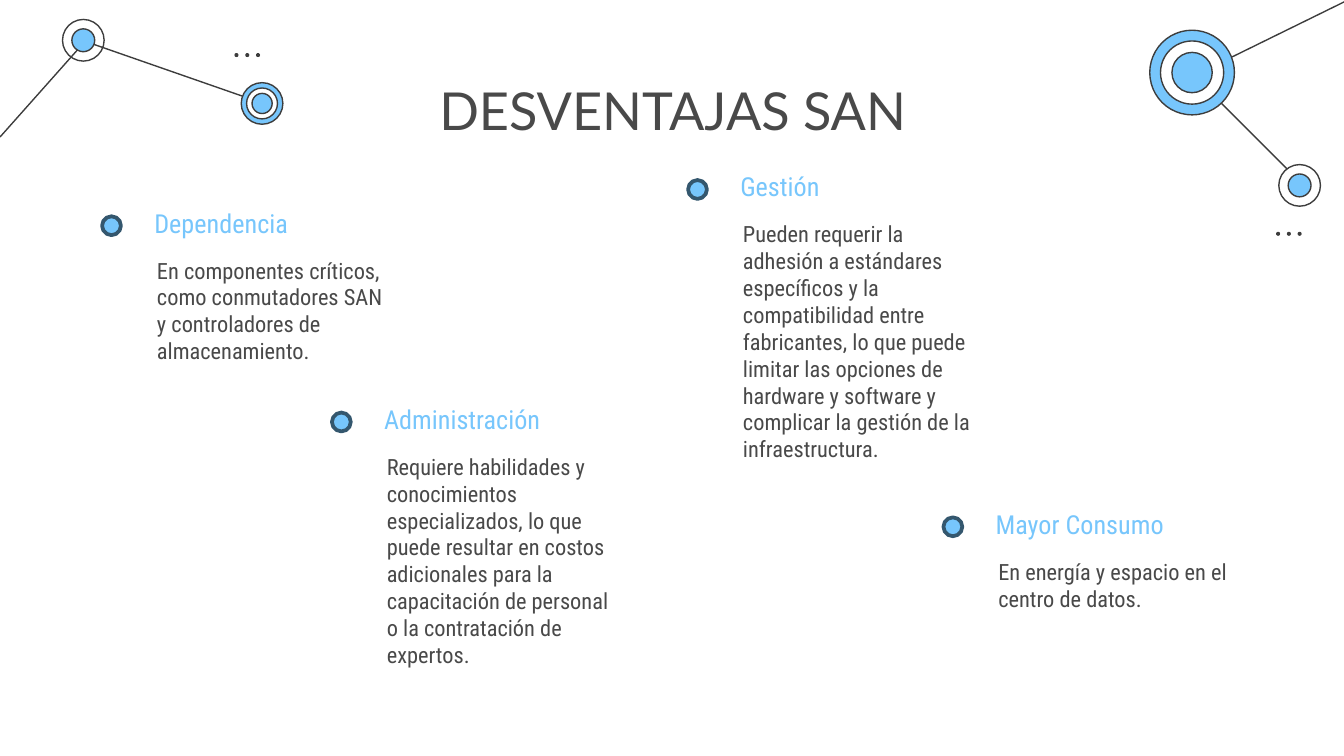
from pptx import Presentation
from pptx.dml.color import RGBColor
from pptx.enum.shapes import MSO_CONNECTOR, MSO_SHAPE
from pptx.enum.text import PP_ALIGN
from pptx.oxml.ns import qn
from pptx.util import Inches, Pt
from lxml.etree import SubElement

COLORS = {"sky": "77C6FC", "ink": "3D3D3D", "text": "494949",
          "navy": "34576E", "white": "FFFFFF"}


def color(name):
    return RGBColor.from_string(COLORS[name])


def write(frame, text, size=12, font="Roboto Condensed", fill="text",
          align=PP_ALIGN.LEFT, indent=0):
    frame.word_wrap = True
    frame.margin_left = frame.margin_right = Inches(0.1)
    frame.margin_top = frame.margin_bottom = Inches(0.1)
    para = frame.paragraphs[0]
    para.alignment = align
    if indent:
        props = para._p.get_or_add_pPr()
        props.set("marL", str(Inches(indent)))
        props.set("indent", "0")
    run = para.add_run()
    run.text = text
    run.font.size = Pt(size)
    run.font.name = font
    run.font.color.rgb = color(fill)


class Painter:
    def __init__(self, slide, pen="ink", width=0.75):
        self.slide, self.pen, self.width = slide, pen, width

    def line(self, start, end):
        ends = [Inches(v) for v in (*start, *end)]
        line = self.slide.shapes.add_connector(MSO_CONNECTOR.STRAIGHT, *ends)
        line.line.color.rgb = color(self.pen)
        line.line.width = Pt(self.width)
        SubElement(line._element.spPr, qn("a:effectLst"))

    def disc(self, x, y, size, fill=None, pen=None, width=None):
        """Draw a circle around the centre x, y."""
        disc = self.slide.shapes.add_shape(
            MSO_SHAPE.OVAL, Inches(x - size / 2), Inches(y - size / 2),
            Inches(size), Inches(size))
        disc.shadow.inherit = False
        if fill:
            disc.fill.solid()
            disc.fill.fore_color.rgb = color(fill)
        else:
            disc.fill.background()
        disc.line.color.rgb = color(pen or self.pen)
        disc.line.width = Pt(width or self.width)
        return disc

    def node(self, x, y, *rings):
        for size, fill in rings:
            self.disc(x, y, size, fill)

    def dots(self, x, y, gap=0.08):
        for i in range(3):
            self.disc(x + i * gap, y, 0.03, "ink").line.fill.background()

    def text(self, text, x, y, w, h, **style):
        box = self.slide.shapes.add_textbox(
            Inches(x), Inches(y), Inches(w), Inches(h))
        write(box.text_frame, text, **style)

    def item(self, x, y, head, body, height):
        """Draw a bullet, its heading and the paragraph below it."""
        self.text(head, x, y, 2.13, 0.41, size=14, fill="sky")
        self.text(body, x - 0.15, y + 0.37, 2.13, height, indent=0.17)
        self.disc(x - 0.22, y + 0.24, 0.14, "sky", "navy", 2)


def main():
    # Widescreen page, 16 to 9
    deck = Presentation()
    deck.slide_width = Inches(10)
    deck.slide_height = deck.slide_width * 9 // 16
    art = Painter(deck.slides.add_slide(deck.slide_layouts[6]))

    # Top left network
    art.line((0.64, 0.31), (1.96, 0.77))
    art.line((0, 1.02), (0.64, 0.3))
    art.node(0.62, 0.3, (0.31, None), (0.17, "sky"))
    art.node(1.95, 0.77, (0.31, "sky"), (0.23, "white"), (0.15, "sky"))
    art.dots(1.76, 0.41)

    # Top right network
    art.line((9.67, 1.35), (8.87, 0.55))
    art.line((10.01, 0.01), (8.91, 0.55))
    art.node(8.87, 0.54, (0.63, "sky"), (0.47, "white"), (0.3, "sky"))
    art.node(9.67, 1.38, (0.31, "white"), (0.17, "sky"))
    art.dots(9.51, 1.74)

    # Drawbacks
    items = [
        (5.41, 1.17, "Gestión",
         "Pueden requerir la adhesión a estándares específicos y la "
         "compatibilidad entre fabricantes, lo que puede limitar las opciones "
         "de hardware y software y complicar la gestión de la "
         "infraestructura.", 1.98),
        (7.31, 3.68, "Mayor Consumo",
         "En energía y espacio en el centro de datos.", 0.58),
        (2.76, 2.9, "Administración",
         "Requiere habilidades y conocimientos especializados, lo que puede "
         "resultar en costos adicionales para la capacitación de personal o "
         "la contratación de expertos.", 1.77),
        (1.05, 1.44, "Dependencia",
         "En componentes críticos, como conmutadores SAN y controladores de "
         "almacenamiento.", 1.18),
    ]
    for item in items:
        art.item(*item)

    # Title
    art.text("DESVENTAJAS SAN", 1.72, 0.48, 6.57, 0.65,
             size=28, font="Lato", align=PP_ALIGN.CENTER)

    deck.save("out.pptx")


if __name__ == "__main__":
    main()
